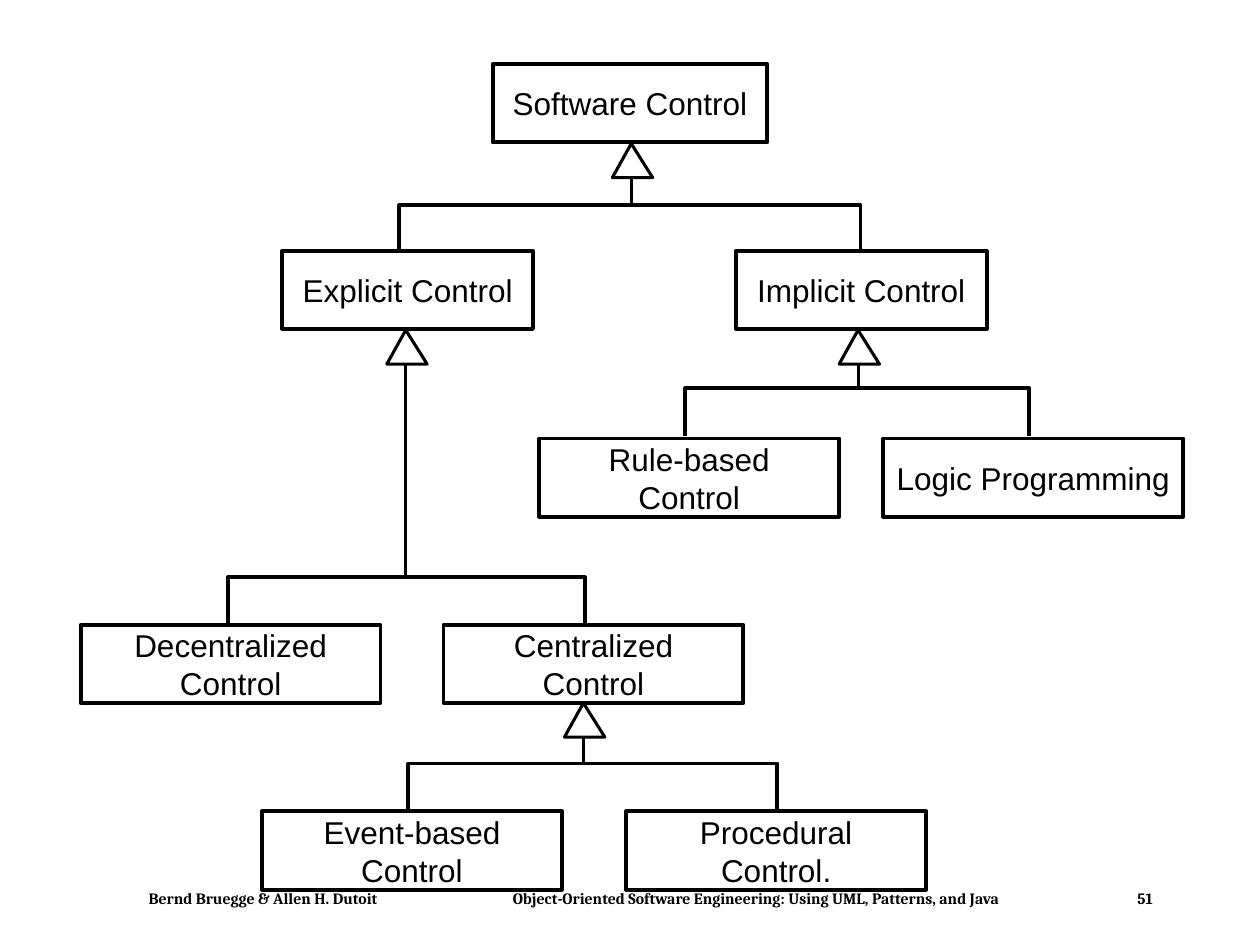
from pptx import Presentation
from pptx.dml.color import RGBColor
from pptx.enum.shapes import MSO_CONNECTOR, MSO_SHAPE
from pptx.enum.text import MSO_ANCHOR, PP_ALIGN
from pptx.oxml.ns import qn
from pptx.util import Inches, Pt
from lxml import etree

BLACK, WHITE = "000000", "FFFFFF"
BOX_HEIGHT = 0.62
ARROW_HEIGHT = 0.27
WIDE, MEDIUM = 2.38, 1.99

# label, left, top, width
CLASSES = [
    ("Software Control", 3.91, 0.51, 2.18),
    ("Explicit Control", 2.24, 1.99, MEDIUM),
    ("Implicit Control", 5.84, 1.99, MEDIUM),
    ("Rule-based\vControl", 4.28, 3.48, WIDE),
    ("Logic Programming", 7.01, 3.48, WIDE),
    ("Decentralized\vControl", 0.64, 4.96, WIDE),
    ("Centralized\vControl", 3.52, 4.96, WIDE),
    ("Event-based\vControl", 2.08, 6.44, WIDE),
    ("Procedural\vControl.", 4.97, 6.44, WIDE),
]

# apex x, parent bottom, bus y, left child x, right child x, child top
INHERITANCES = [
    (5.01, 1.14, 1.63, 3.17, 6.83, 1.99),
    (6.81, 2.62, 3.08, 5.44, 8.17, 3.46),
    (3.22, 2.62, 4.58, 1.81, 4.64, 4.97),
    (4.63, 5.58, 6.06, 3.24, 6.17, 6.43),
]


def color(hex_value):
    return RGBColor.from_string(hex_value)


def write(shape, text, size=18, font="Arial", bold=False, align=PP_ALIGN.CENTER, wrap=False):
    frame = shape.text_frame
    frame.word_wrap = wrap
    frame.vertical_anchor = MSO_ANCHOR.MIDDLE
    frame.margin_left = frame.margin_right = 0
    frame.margin_top = frame.margin_bottom = 0
    paragraph = frame.paragraphs[0]
    paragraph.text = text
    paragraph.alignment = align
    for run in paragraph.runs:
        run.font.size = Pt(size)
        run.font.name = font
        run.font.bold = bold
        run.font.color.rgb = color(BLACK)


def set_line(shape, width):
    shape.line.color.rgb = color(BLACK)
    shape.line.width = Pt(width)


def add_class(slide, label, left, top, width):
    box = slide.shapes.add_shape(
        MSO_SHAPE.RECTANGLE, Inches(left), Inches(top), Inches(width), Inches(BOX_HEIGHT))
    box.shadow.inherit = False
    box.fill.solid()
    box.fill.fore_color.rgb = color(WHITE)
    set_line(box, 2.25)
    write(box, label)


def add_outline(slide, points, width, close):
    corners = [(Inches(x), Inches(y)) for x, y in points]
    builder = slide.shapes.build_freeform(*corners[0])
    builder.add_line_segments(corners[1:], close=close)
    outline = builder.convert_to_shape()
    outline.shadow.inherit = False
    outline.fill.background()
    set_line(outline, width)


def add_inheritance(slide, apex_x, apex_y, bus_y, left_x, right_x, child_top):
    """Draw the hollow triangle, its stem and the bracket over two children."""
    base_y = apex_y + ARROW_HEIGHT
    triangle = [(apex_x, apex_y), (apex_x + 0.17, base_y), (apex_x - 0.15, base_y)]
    add_outline(slide, triangle, 1.75, close=True)
    stem = slide.shapes.add_connector(
        MSO_CONNECTOR.STRAIGHT, Inches(apex_x), Inches(bus_y), Inches(apex_x), Inches(base_y))
    set_line(stem, 1.75)
    etree.SubElement(stem._element.spPr, qn("a:effectLst"))
    bracket = [(left_x, child_top), (left_x, bus_y), (right_x, bus_y), (right_x, child_top)]
    add_outline(slide, bracket, 2.25, close=False)


def add_footer(slide, top, height):
    parts = [
        ("Bernd Bruegge & Allen H. Dutoit", 1.18, 2.2, PP_ALIGN.LEFT),
        ("Object-Oriented Software Engineering: Using UML, Patterns, and Java",
         4.07, 4.2, PP_ALIGN.LEFT),
        ("51", 8.65, 0.5, PP_ALIGN.RIGHT),
    ]
    for text, left, width, align in parts:
        box = slide.shapes.add_textbox(Inches(left), Inches(top), Inches(width), Inches(height))
        write(box, text, size=9, font="Cambria", bold=True, align=align, wrap=True)


def main():
    presentation = Presentation()
    presentation.slide_width = Inches(10)
    presentation.slide_height = Inches(7.5)
    slide = presentation.slides.add_slide(presentation.slide_layouts[6])
    add_footer(slide, top=7, height=0.25)
    for control_class in CLASSES:
        add_class(slide, *control_class)
    for inheritance in INHERITANCES:
        add_inheritance(slide, *inheritance)
    presentation.save("out.pptx")


if __name__ == "__main__":
    main()
